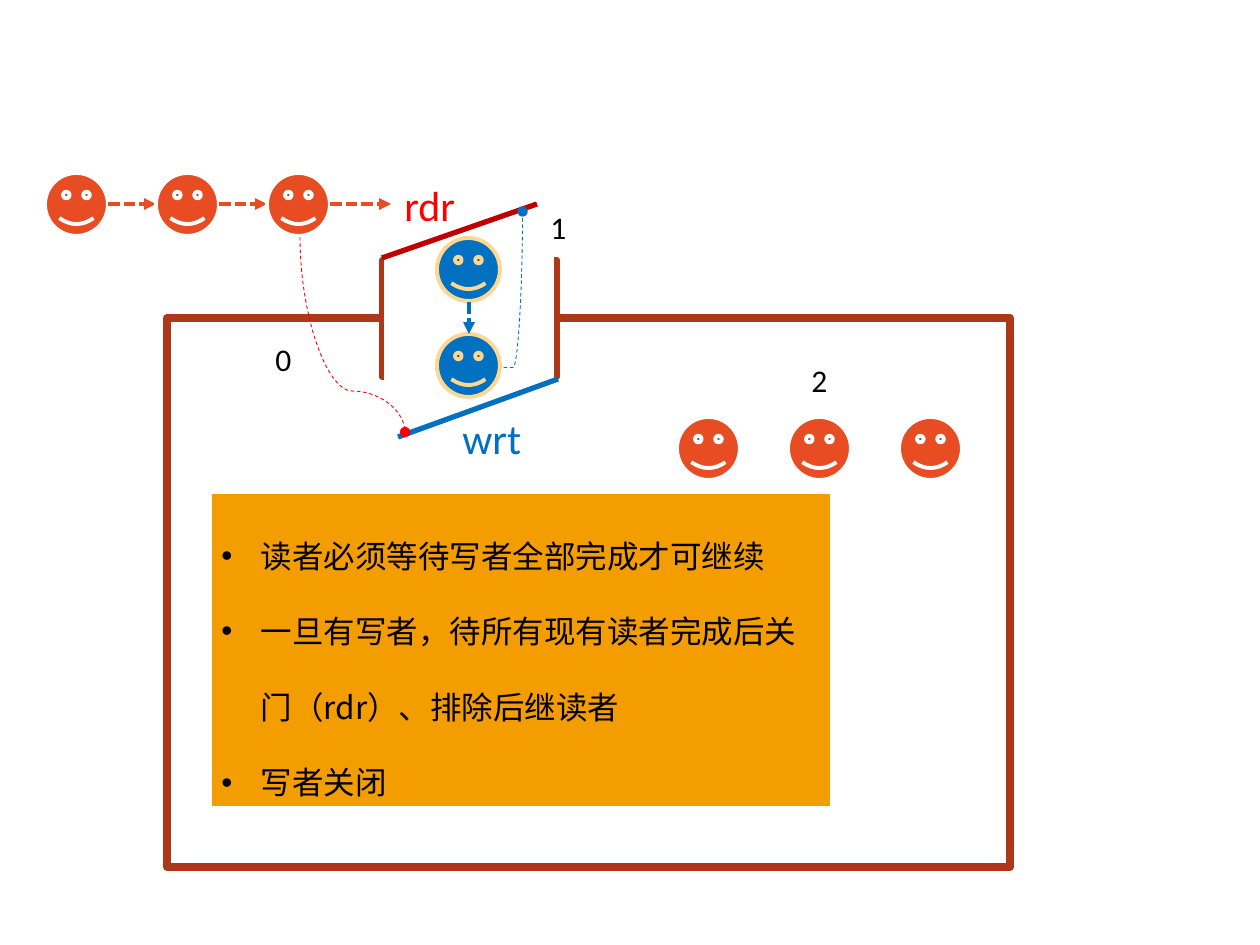
from lxml import etree
from pptx import Presentation, util as u
from pptx.dml.color import RGBColor
from pptx.enum import dml, shapes, text
from pptx.oxml.ns import qn

EMU_PER_PX = 914400 / 126

WHITE = RGBColor(0xFF, 0xFF, 0xFF)
BLACK = RGBColor(0x00, 0x00, 0x00)
WALL = RGBColor(0xAC, 0x38, 0x19)
READER = RGBColor(0xE8, 0x4C, 0x22)
WRITER = RGBColor(0x00, 0x70, 0xC0)
WRITER_EDGE = RGBColor(0xFF, 0xD7, 0x91)
READER_DOOR = RGBColor(0xC0, 0x00, 0x00)
RED = RGBColor(0xFF, 0x00, 0x00)
ORANGE = RGBColor(0xF4, 0x9D, 0x00)

SYS_DASH = dml.MSO_LINE.SQUARE_DOT
DASH = dml.MSO_LINE.DASH
FACE = 63
FACE_PITCH = 111


def px(*lengths):
    return [round(length * EMU_PER_PX) for length in lengths]


class Sketch:
    latin = "Calibri"
    chinese = "Noto Sans CJK SC"

    def __init__(self, slide):
        self.slide = slide

    def shape(self, kind, box, fill=None, line=None, width=0):
        shape = self.slide.shapes.add_shape(kind, *px(*box))
        shape.shadow.inherit = False
        for paint, color in ((shape.fill, fill), (shape.line.fill, line)):
            if color is None:
                paint.background()
            else:
                paint.solid()
                paint.fore_color.rgb = color
        if line is not None:
            shape.line.width = u.Pt(width)
        return shape

    def rect(self, box, **style):
        return self.shape(shapes.MSO_SHAPE.RECTANGLE, box, **style)

    def face(self, left, top, fill=READER, line=WHITE):
        self.shape(shapes.MSO_SHAPE.SMILEY_FACE, (left, top, FACE, FACE),
                   fill, line, 2.25)

    def line(self, start, end, color, width, dash=None, tail=None,
             kind=shapes.MSO_CONNECTOR.STRAIGHT):
        link = self.slide.shapes.add_connector(kind, *px(*start, *end))
        link.line.color.rgb = color
        link.line.width = u.Pt(width)
        if dash is not None:
            link.line.dash_style = dash
        properties = link._element.spPr
        if tail:
            etree.SubElement(properties.find(qn("a:ln")), qn("a:tailEnd"), type=tail)
        etree.SubElement(properties, qn("a:effectLst"))
        return link

    def arrow(self, start, end, color):
        self.line(start, end, color, 2.25, SYS_DASH, "triangle")

    def curve(self, start, end, color, rotation, bend):
        """Start and end are the corners before the turn by rotation degrees."""
        link = self.line(start, end, color, 0.5, DASH, "oval",
                         shapes.MSO_CONNECTOR.CURVE)
        properties = link._element.spPr
        properties.find(qn("a:xfrm")).set("rot", str(rotation * 60000))
        geometry = properties.find(qn("a:prstGeom"))
        guides = geometry.find(qn("a:avLst"))
        if guides is None:
            guides = etree.SubElement(geometry, qn("a:avLst"))
        etree.SubElement(guides, qn("a:gd"), name="adj1",
                         fmla=f"val {round(bend * 100000)}")

    def run(self, paragraph, words, font, size, color):
        run = paragraph.add_run()
        run.text = words
        run.font.size = u.Pt(size)
        run.font.color.rgb = color
        run.font.name = font
        etree.SubElement(run.font._element, qn("a:ea"), typeface=self.chinese)

    def label(self, words, box, size=18, color=BLACK):
        frame = self.slide.shapes.add_textbox(*px(*box)).text_frame
        frame.word_wrap = False
        frame.auto_size = text.MSO_AUTO_SIZE.SHAPE_TO_FIT_TEXT
        self.run(frame.paragraphs[0], words, self.latin, size, color)

    def bullets(self, box, lines):
        frame = self.rect(box, fill=ORANGE, line=WHITE, width=3).text_frame
        frame.word_wrap = True
        frame.auto_size = text.MSO_AUTO_SIZE.SHAPE_TO_FIT_TEXT
        frame.vertical_anchor = text.MSO_ANCHOR.MIDDLE
        for index, words in enumerate(lines):
            paragraph = frame.add_paragraph() if index else frame.paragraphs[0]
            paragraph.alignment = text.PP_ALIGN.LEFT
            paragraph.line_spacing = 2.0
            indent = paragraph._p.get_or_add_pPr()
            indent.set("marL", "285750")
            indent.set("indent", "-285750")
            etree.SubElement(indent, qn("a:buFont"), typeface="Arial")
            etree.SubElement(indent, qn("a:buChar"), char="•")
            self.run(paragraph, words, self.chinese, 18, BLACK)


def main():
    deck = Presentation()
    deck.slide_width, deck.slide_height = u.Inches(10), u.Inches(7.5)
    sketch = Sketch(deck.slides.add_slide(deck.slide_layouts[6]))

    # Room and its entrance
    sketch.rect((167, 318, 843, 549), line=WALL, width=4.5)
    sketch.rect((382, 260, 175, 117), fill=WHITE, line=WALL, width=3)
    sketch.rect((384, 253, 170, 127), fill=WHITE)

    # The two doors
    sketch.line((382, 258), (537, 204), READER_DOOR, 3)
    sketch.line((398, 437), (558, 379), WRITER, 3)
    sketch.label("rdr", (392, 173, 77, 63), 24, RED)
    sketch.label("wrt", (450, 406, 84, 63), 24, WRITER)

    # Readers queueing outside and readers inside
    for place in range(3):
        step = place * FACE_PITCH
        sketch.face(45 + step, 173)
        sketch.face(677 + step, 417)
        reach = 61 if place == 2 else 48
        sketch.arrow((108 + step, 204), (108 + step + reach, 204), READER)

    # Writers in the entrance
    for top in (334, 238):
        sketch.face(437, top, WRITER, WRITER_EDGE)
    sketch.arrow((469, 302), (469, 334), WRITER)

    # Who holds which door
    sketch.curve((591, 299), (435, 280), WRITER, 90, 0)
    sketch.curve((450, 282), (255, 387), RED, 270, 0.79)

    # Rules
    sketch.bullets((209, 491, 624, 318), (
        "读者必须等待写者全部完成才可继续",
        "一旦有写者，待所有现有读者完成后关门（rdr）、排除后继读者",
        "写者关闭",
    ))

    # Zone numbers
    for number, (left, top) in enumerate(((263, 334), (538, 202), (799, 355))):
        sketch.label(str(number), (left, top, 42, 50))

    deck.save("out.pptx")


if __name__ == "__main__":
    main()
